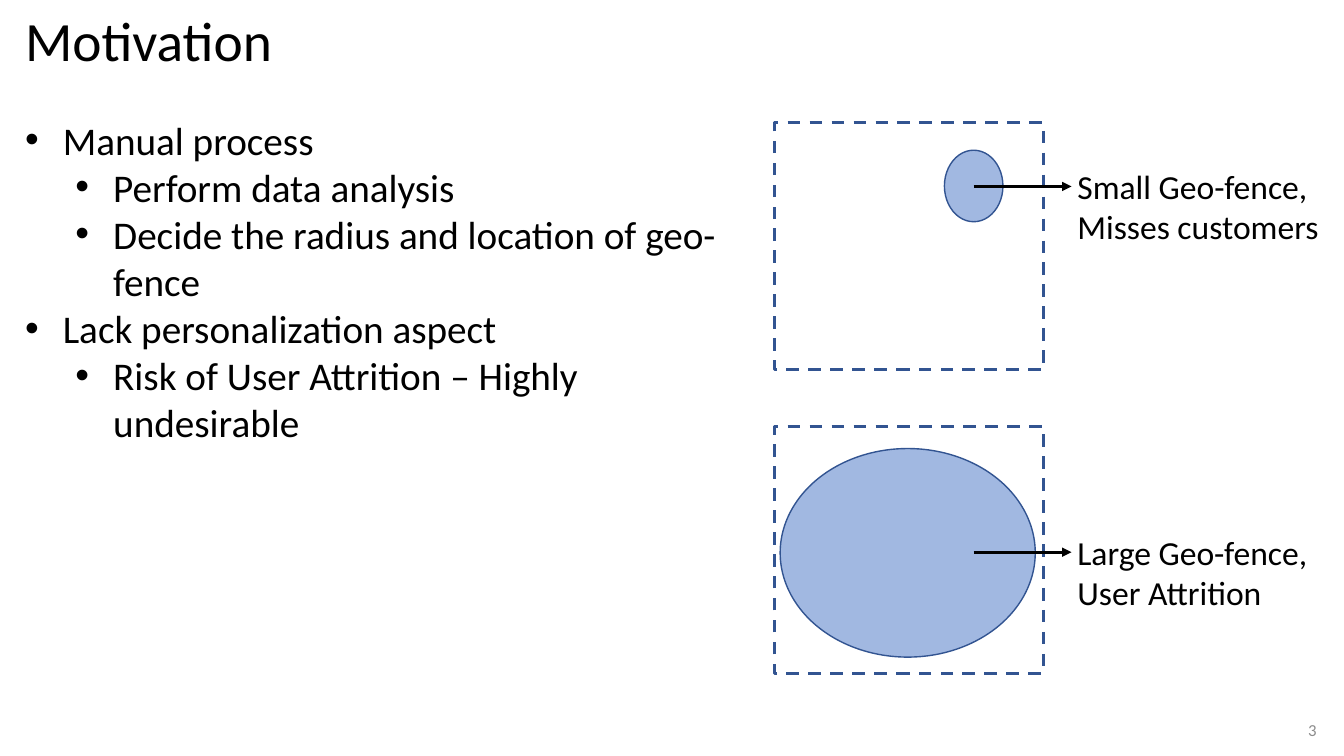
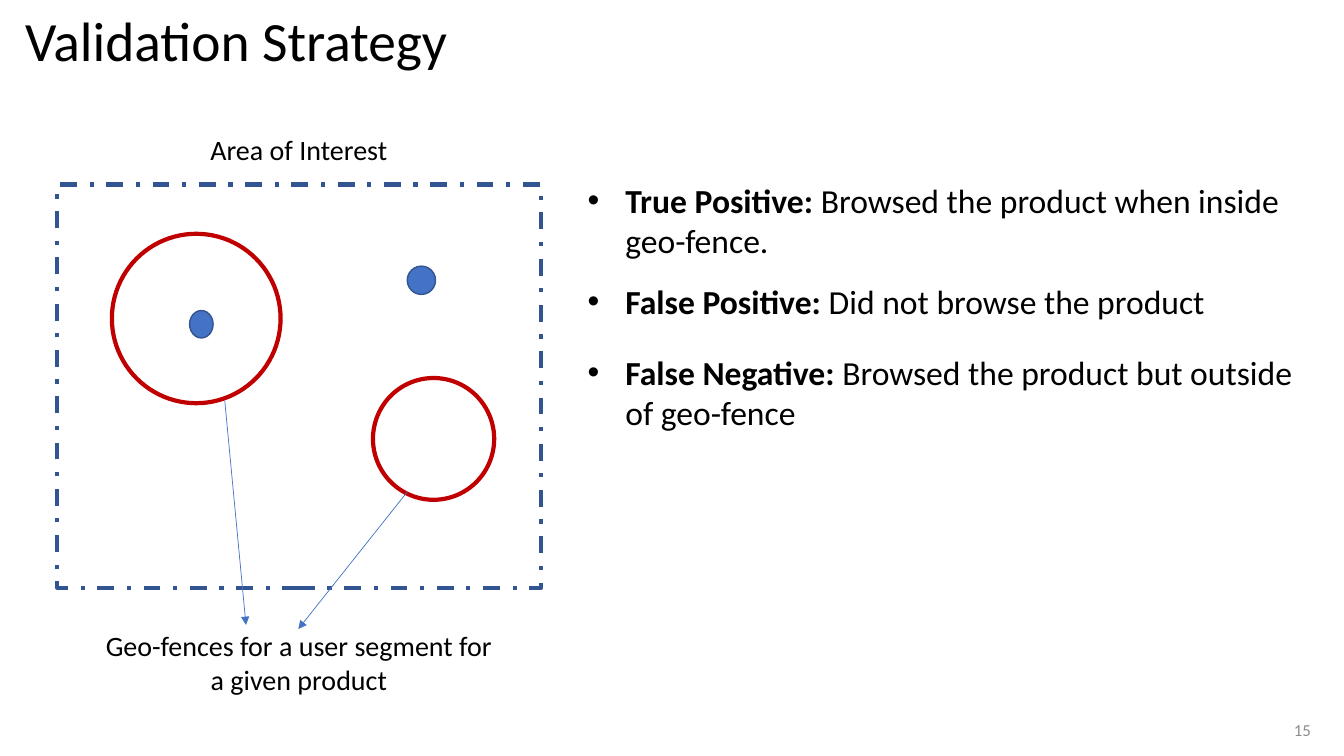
from lxml import etree
from pptx import Presentation
from pptx.dml.color import RGBColor
from pptx.enum.dml import MSO_LINE
from pptx.enum.shapes import MSO_CONNECTOR, MSO_SHAPE
from pptx.enum.text import MSO_ANCHOR, PP_ALIGN
from pptx.oxml.ns import qn
from pptx.util import Pt

RECT, OVAL = MSO_SHAPE.RECTANGLE, MSO_SHAPE.OVAL
STRAIGHT = MSO_CONNECTOR.STRAIGHT
DASH, DASH_DOT = MSO_LINE.DASH, MSO_LINE.DASH_DOT
LEFT, CENTER, RIGHT = PP_ALIGN.LEFT, PP_ALIGN.CENTER, PP_ALIGN.RIGHT
TOP, MIDDLE = MSO_ANCHOR.TOP, MSO_ANCHOR.MIDDLE

FONT = "Calibri"
BLACK = RGBColor(0x00, 0x00, 0x00)
GRAY = RGBColor(0x8C, 0x8C, 0x8C)
BLUE = RGBColor(0x44, 0x72, 0xC4)
NAVY = RGBColor(0x32, 0x54, 0x91)
RED = RGBColor(0xC0, 0x00, 0x00)

# Content: boxes are (left, top, width, height) in points
MOTIVATION = [
    (0, "Manual process"),
    (1, "Perform data analysis"),
    (1, "Decide the radius and location of geo-fence"),
    (0, "Lack personalization aspect"),
    (1, "Risk of User Attrition – Highly undesirable"),
]
# Frame top, fence box, arrow y, label lines
FENCE_CASES = [
    (87.8, (674.6, 107.3, 41.8, 51.1), 133.2,
     ["Small Geo-fence,", "Misses customers"]),
    (304.6, (557.3, 320.4, 182.2, 149), 394.4,
     ["Large Geo-fence,", "User Attrition"]),
]
# Top, height, term, meaning
OUTCOMES = [
    (124.6, 65.5, "True Positive:", " Browsed the product when inside geo-fence."),
    (197.3, 36, "False Positive:", " Did not browse the product"),
    (247.7, 65.5, "False Negative:", " Browsed the product but outside of geo-fence"),
]
AREA = (41, 131.8, 345.6, 288)
GEO_FENCES = [(79.9, 167, 120.5, 121), (266.4, 270, 86.6, 87)]
USERS = [(135.4, 221.8, 16.8, 19.6), (290.9, 190.1, 20.2, 20.2)]
FENCE_ARROWS = [((160.6, 286.6), (175.7, 446.4)), ((290.9, 351.4), (213.1, 449.3))]
AREA_CAPTIONS = [
    ((115.9, 91.4, 195.1, 31.7), "Area of Interest"),
    ((68.4, 445.7, 290.2, 55.4), "Geo-fences for a user segment for a given product"),
]


def points(values):
    return [Pt(value) for value in values]


def add_text(slide, box, paragraphs, size=24, color=BLACK, align=LEFT,
             anchor=TOP, bullets=False, spacing=None):
    """Each paragraph is (level, [(text, bold), ...])."""
    frame = slide.shapes.add_textbox(*points(box)).text_frame
    frame.word_wrap = True
    frame.vertical_anchor = anchor
    for index, (level, runs) in enumerate(paragraphs):
        paragraph = frame.paragraphs[0] if index == 0 else frame.add_paragraph()
        paragraph.alignment = align
        paragraph.level = level
        if spacing:
            paragraph.line_spacing = spacing
        if bullets:
            properties = paragraph._p.get_or_add_pPr()
            properties.set("marL", str(Pt(27 + 36 * level)))
            properties.set("indent", str(-Pt(27)))
            etree.SubElement(properties, qn("a:buFont"), typeface="Arial")
            etree.SubElement(properties, qn("a:buChar"), char="•")
        for text, bold in runs:
            run = paragraph.add_run()
            run.text = text
            run.font.name = FONT
            run.font.size = Pt(size)
            run.font.bold = bold
            run.font.color.rgb = color


def plain(*lines):
    return [(0, [(line, False)]) for line in lines]


def add_outline(slide, kind, box, line, width, dash=None, fill=None, alpha=None):
    shape = slide.shapes.add_shape(kind, *points(box))
    shape.shadow.inherit = False
    shape.line.color.rgb = line
    shape.line.width = Pt(width)
    if dash:
        shape.line.dash_style = dash
    if fill is None:
        shape.fill.background()
        return
    shape.fill.solid()
    shape.fill.fore_color.rgb = fill
    if alpha:
        color = shape._element.spPr.find(qn("a:solidFill"))[0]
        etree.SubElement(color, qn("a:alpha"), val=str(alpha * 1000))


def add_arrow(slide, start, end, color, width):
    arrow = slide.shapes.add_connector(STRAIGHT, *points(start + end))
    arrow.line.color.rgb = color
    arrow.line.width = Pt(width)
    etree.SubElement(arrow.line._get_or_add_ln(), qn("a:tailEnd"), type="triangle")
    etree.SubElement(arrow._element.spPr, qn("a:effectLst"))


def new_slide(deck, title, number, number_align):
    slide = deck.slides.add_slide(deck.slide_layouts[6])
    add_text(slide, (10.8, 10, 936, 42.5), plain(title), size=39.6,
             anchor=MIDDLE, spacing=0.9)
    add_text(slide, (913, 506.9, 34.6, 28.8), plain(number), size=12,
             color=GRAY, align=number_align, anchor=MIDDLE)
    return slide


def build_motivation(deck):
    slide = new_slide(deck, "Motivation", "3", RIGHT)
    add_text(slide, (10.8, 79.2, 523.4, 278.6),
             [(level, [(text, False)]) for level, text in MOTIVATION],
             size=28, bullets=True)
    # Region, geo-fence, arrow and label of each case
    for frame_top, fence, arrow_y, label in FENCE_CASES:
        add_outline(slide, RECT, (553, frame_top, 192.2, 176.4), NAVY, 2.25, dash=DASH)
        add_outline(slide, OVAL, fence, NAVY, 1, fill=BLUE, alpha=50)
        add_arrow(slide, (695.5, arrow_y), (765.4, arrow_y), BLACK, 2.25)
        add_text(slide, (762.5, arrow_y - 18.2, 188, 65.5), plain(*label))


def build_validation(deck):
    slide = new_slide(deck, "Validation Strategy", "15", CENTER)
    # Area of interest with fences and users
    add_outline(slide, RECT, AREA, NAVY, 3, dash=DASH_DOT)
    for fence in GEO_FENCES:
        add_outline(slide, OVAL, fence, RED, 3)
    for user in USERS:
        add_outline(slide, OVAL, user, NAVY, 1, fill=BLUE)
    for start, end in FENCE_ARROWS:
        add_arrow(slide, start, end, BLUE, 0.5)
    for box, caption in AREA_CAPTIONS:
        add_text(slide, box, plain(caption), size=20, align=CENTER)
    # Definitions of the outcomes
    for top, height, term, meaning in OUTCOMES:
        add_text(slide, (412.6, top, 535, height),
                 [(0, [(term, True), (meaning, False)])], bullets=True)


def main():
    deck = Presentation()
    deck.slide_width, deck.slide_height = Pt(960), Pt(540)
    build_motivation(deck)
    build_validation(deck)
    deck.save("out.pptx")


if __name__ == "__main__":
    main()
